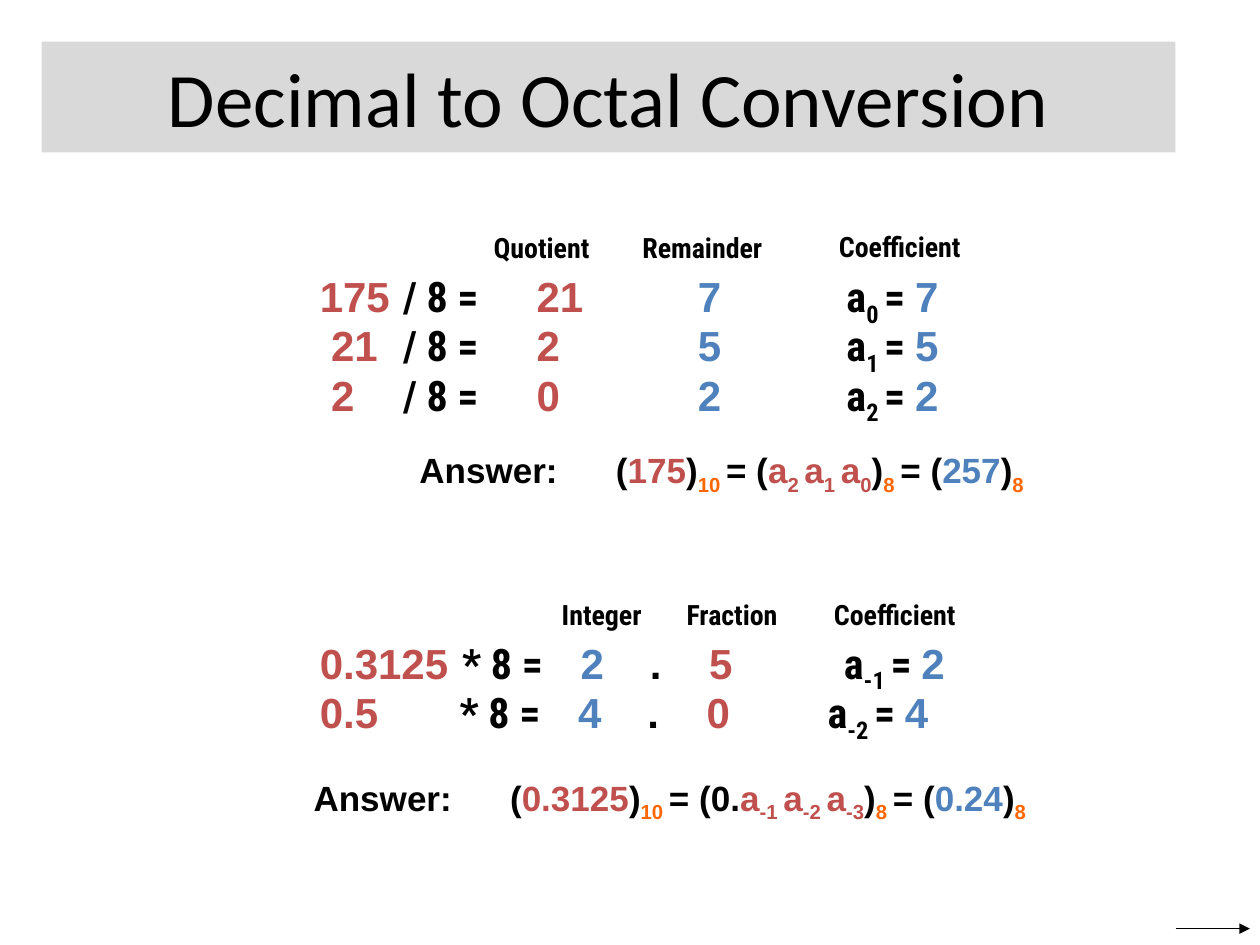
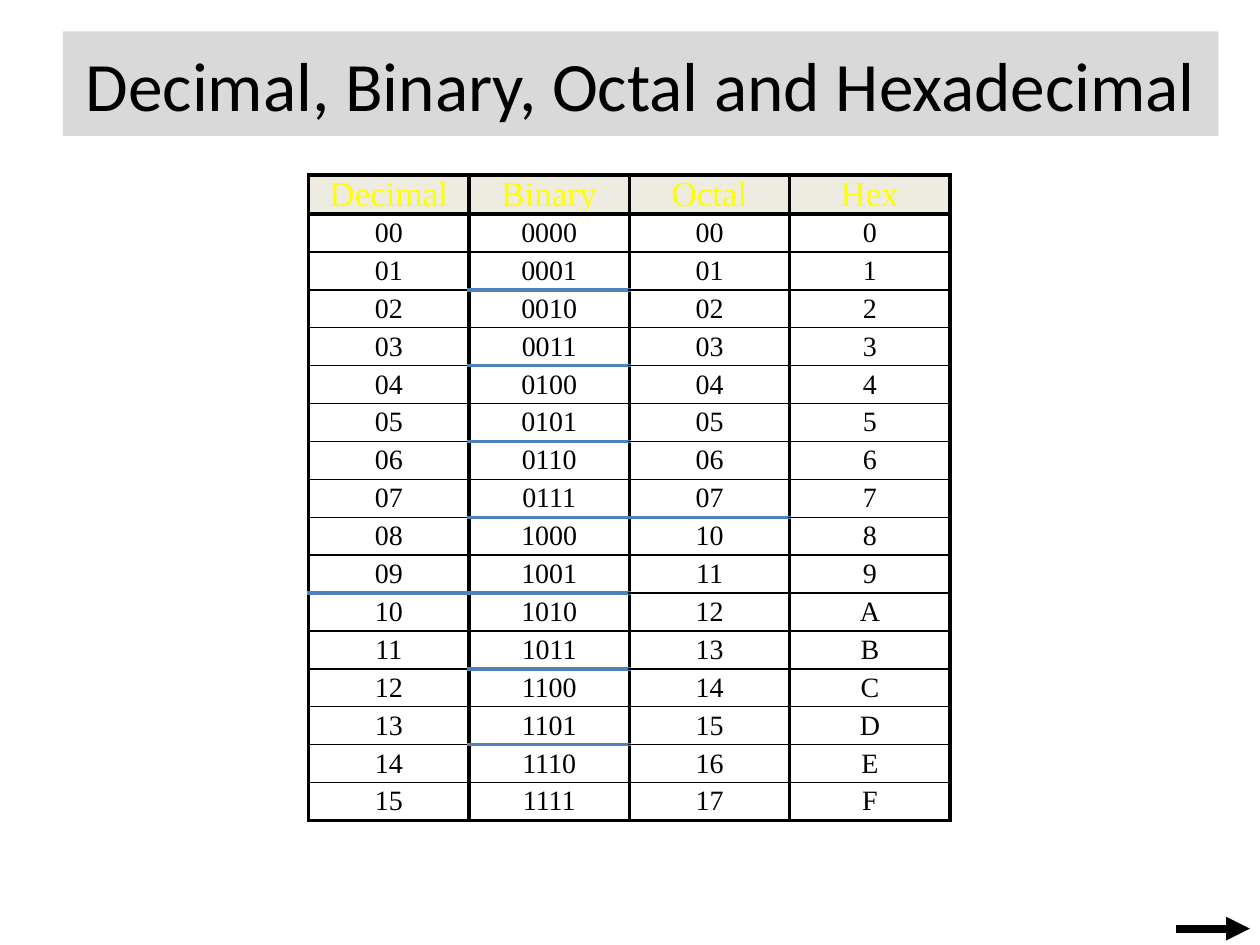
from lxml import etree
from pptx import Presentation
from pptx.dml.color import RGBColor
from pptx.enum import shapes, text
from pptx.oxml import ns
from pptx.util import Inches, Pt

BLACK, RED, BLUE, ORANGE = "000000", "C0504D", "4F81BD", "FF6600"
GREY, CREAM, YELLOW = "D9D9D9", "EEECE1", "FFFF00"
SANS, NARROW, SERIF, HEAD = "Arial", "Roboto Condensed", "Times New Roman", "Calibri"

STYLES = {
    "title": dict(name=HEAD, size=Pt(44), color=BLACK),
    "label": dict(name=NARROW, size=Pt(16), bold=True, color=BLACK),
    "term": dict(name=NARROW, size=Pt(24), bold=True, color=BLACK),
    "digit": dict(name=SANS, size=Pt(24), bold=True, color=BLACK),
    "answer": dict(name=SANS, size=Pt(20), bold=True, color=BLACK),
    "head": dict(name=SERIF, size=Pt(20), bold=False, color=YELLOW),
    "cell": dict(name=SERIF, size=Pt(16), bold=False, color=BLACK),
}


def paint(value):
    return RGBColor.from_string(value)


def add(node, tag, **attrs):
    return etree.SubElement(node, ns.qn(tag), attrs)


class Deck:
    def __init__(self):
        self.prs = Presentation()
        self.prs.slide_width, self.prs.slide_height = Inches(10), Inches(7.5)
        self.slide = None

    def page(self):
        self.slide = self.prs.slides.add_slide(self.prs.slide_layouts[6])

    def span(self, para, words, style, color=None, sub=False):
        run = para.add_run()
        run.text = words
        for key, value in STYLES[style].items():
            if key == "color":
                run.font.color.rgb = paint(color or value)
            else:
                setattr(run.font, key, value)
        if sub:
            run._r.get_or_add_rPr().set("baseline", "-25000")
        return run

    def title(self, words, left, top, width, height, size=44):
        box = self.slide.shapes.add_shape(
            shapes.MSO_SHAPE.RECTANGLE, *map(Inches, (left, top, width, height)))
        box.shadow.inherit = False
        box.fill.solid()
        box.fill.fore_color.rgb = paint(GREY)
        box.line.fill.background()
        para = box.text_frame.paragraphs[0]
        para.alignment = text.PP_ALIGN.CENTER
        self.span(para, words, "title").font.size = Pt(size)

    def label(self, left, top, width, height, runs, tabs=()):
        box = self.slide.shapes.add_textbox(*map(Inches, (left, top, width, height)))
        box.text_frame.word_wrap = True
        para = box.text_frame.paragraphs[0]
        para.alignment = text.PP_ALIGN.LEFT
        if tabs:
            stops = add(para._p.get_or_add_pPr(), "a:tabLst")
            for stop in tabs:
                add(stops, "a:tab", pos=str(Inches(stop)), algn="l")
        for item in runs:
            self.span(para, *item)

    def arrow(self, weight):
        line = self.slide.shapes.add_connector(
            shapes.MSO_CONNECTOR.STRAIGHT, *map(Inches, (9.33, 7.37, 9.92, 7.37)))
        line.line.color.rgb = paint(BLACK)
        line.line.width = Pt(weight)
        add(line.line._get_or_add_ln(), "a:tailEnd", type="triangle")
        add(line._element.spPr, "a:effectLst")

    def grid(self, rows, left, top, width, height, edge):
        frame = self.slide.shapes.add_table(
            len(rows), len(rows[0]), *map(Inches, (left, top, width, height)))
        table = frame.table
        table.first_row = table.horz_banding = False
        for r, row in enumerate(rows):
            for c, words in enumerate(row):
                self.cell(table.cell(r, c), words, r == 0,
                          dict(L=(BLACK, 2.25), R=(BLACK, 2.25),
                               T=edge(r - 1, c), B=edge(r, c)))

    def cell(self, cell, words, head, edges):
        for side in ("left", "right", "top", "bottom"):
            setattr(cell, "margin_" + side, 0)
        cell.vertical_anchor = text.MSO_ANCHOR.MIDDLE
        for side, (color, weight) in edges.items():
            line = add(cell._tc.get_or_add_tcPr(), "a:ln" + side, w=str(Pt(weight)))
            add(add(line, "a:solidFill"), "a:srgbClr", val=color)
        if head:
            cell.fill.solid()
            cell.fill.fore_color.rgb = paint(CREAM)
        else:
            cell.fill.background()
        para = cell.text_frame.paragraphs[0]
        para.alignment = text.PP_ALIGN.CENTER
        self.span(para, words, "head" if head else "cell")


def labels(deck, items):
    for words, left, top, width in items:
        deck.label(left, top, width, 0.37, [(words, "label")])


def coeff(index, value):
    return [("a", "term"), (f"{index} ", "term", None, True),
            ("= ", "term"), (value, "digit", BLUE)]


def answer(deck, left, top, width, value, lead, marks, octal):
    runs = [("Answer:\t(", "answer"), (value, "answer", RED), (")", "answer"),
            ("10 ", "answer", ORANGE, True), (f"= ({lead}", "answer")]
    for i, mark in enumerate(marks):
        gap = " " if i < len(marks) - 1 else ""
        runs += [("a", "answer", RED), (mark + gap, "answer", RED, True)]
    runs += [(")", "answer"), ("8 ", "answer", ORANGE, True), ("= (", "answer"),
             (octal, "answer", BLUE), (")", "answer"), ("8", "answer", ORANGE, True)]
    deck.label(left, top, width, 0.43, runs, [1.56])


def whole(deck):
    labels(deck, [("Quotient", 3.82, 1.78, 1.04), ("Remainder", 5, 1.78, 1.26),
                  ("Coefficient", 6.56, 1.77, 1.24)])
    steps = [("175", "21", "7"), ("21", "2", "5"), ("2", "0", "2")]
    for i, (start, quot, rest) in enumerate(steps):
        top = 2.1 + 0.39 * i
        deck.label(2.53 if i else 2.44, top, 0.8, 0.5, [(start, "digit", RED)])
        deck.label(3.1, top, 1.69, 0.5,
                   [("/ 8 =\t", "term"), (quot, "digit", RED)], [1.06])
        deck.label(5.44, top, 2.26, 0.5,
                   [(rest + "\t", "digit", BLUE)] + coeff(i, rest), [1.18])
    answer(deck, 3.23, 3.51, 5.08, "175", "", ["2", "1", "0"], "257")


def part(deck):
    labels(deck, [("Integer", 4.36, 4.69, 0.89), ("Fraction", 5.35, 4.69, 1.02),
                  ("Coefficient", 6.52, 4.69, 1.24)])
    steps = [("0.3125", "2", "5", 3.57, 3.03), ("0.5", "4", "0", 3.55, 2.92)]
    for i, (start, unit, rest, left, stop) in enumerate(steps):
        top = 5.01 + 0.39 * i
        deck.label(2.44, top, 1.26, 0.5, [(start, "digit", RED)])
        deck.label(left, top, 4.2, 0.5,
                   [("* 8 =\t", "term"), (unit + "\t", "digit", BLUE),
                    (".\t", "digit"), (rest + "\t", "digit", RED)]
                   + coeff(-1 - i, unit), [0.94, 1.49, 1.96, stop])
    answer(deck, 2.39, 6.11, 5.95, "0.3125", "0.", ["-1", "-2", "-3"], "0.24")


def edge(row, col):
    if row in (-1, 0, 16):
        return BLACK, 2.25
    return (BLUE, 2.25) if row % (10, 2, 8, 16)[col] == 0 else (BLACK, 1)


def main():
    deck = Deck()
    deck.page()
    deck.title("Decimal to Octal Conversion", 0.33, 0.33, 9, 0.88)
    whole(deck)
    part(deck)
    deck.arrow(0.75)

    deck.page()
    deck.title("Decimal, Binary, Octal and Hexadecimal", 0.5, 0.25, 9.17, 0.83, 39.6)
    rows = [("Decimal", "Binary", "Octal", "Hex")]
    rows += [(f"{n:02d}", f"{n:04b}", f"{n:02o}", f"{n:X}") for n in range(16)]
    deck.grid(rows, 2.45, 1.39, 5.09, 5.12, edge)
    deck.arrow(4.5)
    deck.prs.save("out.pptx")


if __name__ == "__main__":
    main()
